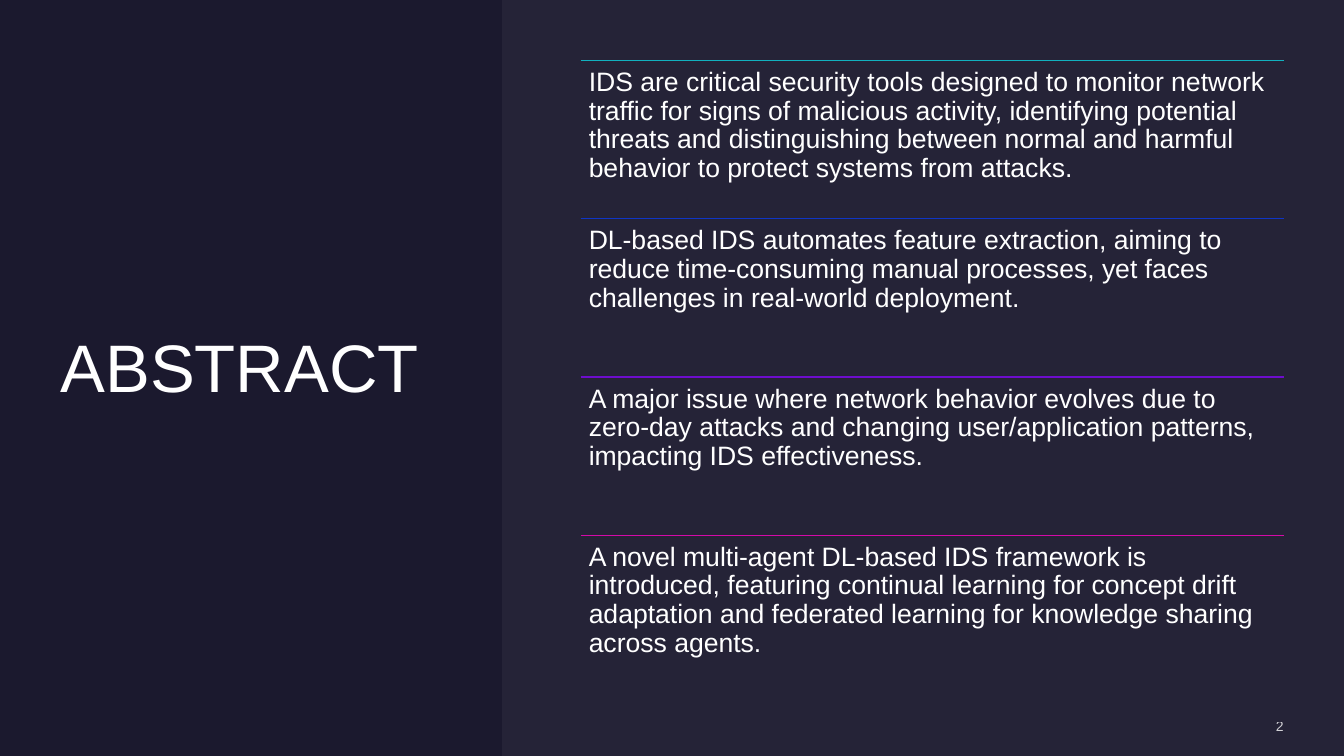
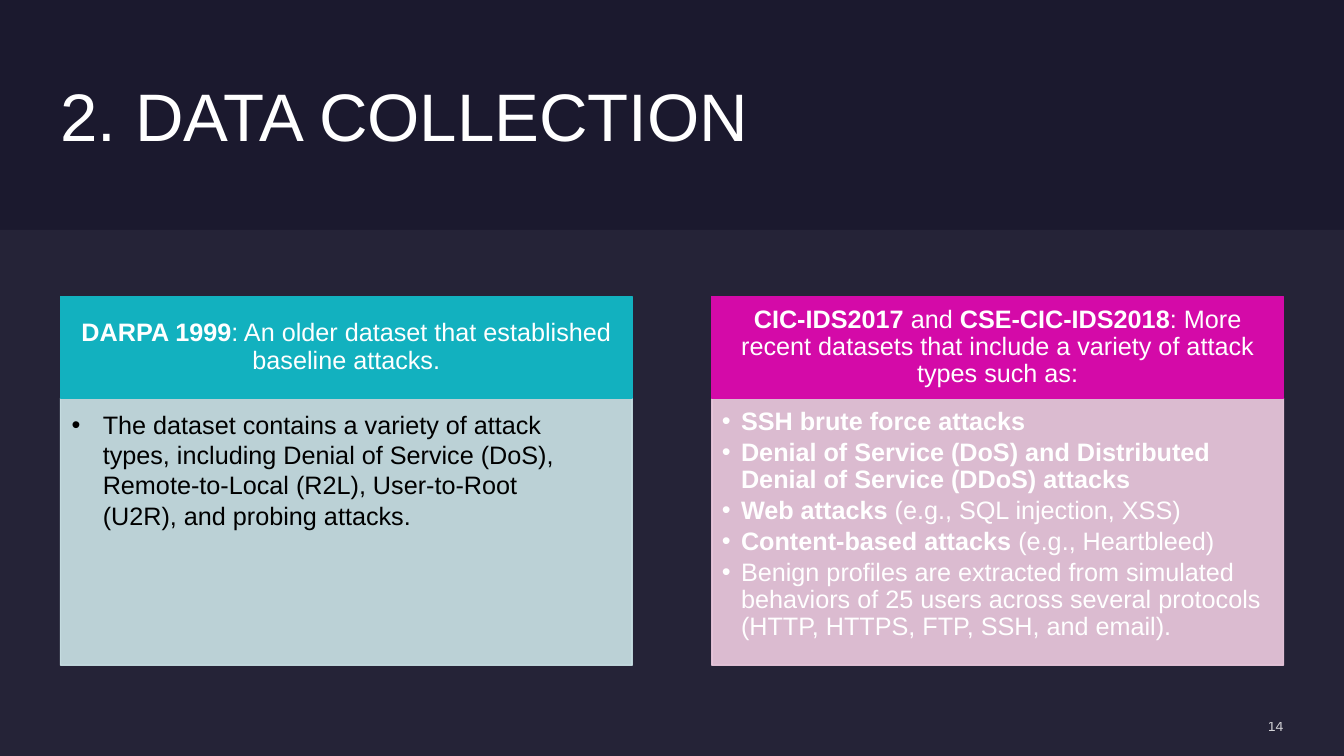
"""Build two dark slides about an intrusion detection system (IDS)."""
from lxml.etree import SubElement
from pptx import Presentation
from pptx.dml.color import RGBColor
from pptx.enum.shapes import MSO_CONNECTOR as Connector, MSO_SHAPE as Shape
from pptx.enum.text import MSO_ANCHOR as Anchor, MSO_AUTO_SIZE as AutoSize, PP_ALIGN as Align
from pptx.oxml.ns import qn
from pptx.util import Emu, Pt

EMU_PER_PX = 9144
SLIDE_WIDTH, SLIDE_HEIGHT = 1333, 750
MARGIN = 60
CONTENT_RIGHT = 1273
FONT = "Arial"
COLORS = {
    "background": "1B192E",
    "band": "E4E3F0",
    "white": "FFFFFF",
    "black": "000000",
    "teal": "12B1BF",
    "blue": "0F35C6",
    "purple": "6E0DCD",
    "magenta": "D40AA8",
    "pale_teal": "CCE4E8",
    "pale_magenta": "EFCCE1",
}

ABSTRACT_POINTS = [
    ("teal", "IDS are critical security tools designed to monitor network traffic for signs of "
             "malicious activity, identifying potential threats and distinguishing between normal "
             "and harmful behavior to protect systems from attacks."),
    ("blue", "DL-based IDS automates feature extraction, aiming to reduce time-consuming manual "
             "processes, yet faces challenges in real-world deployment."),
    ("purple", "A major issue where network behavior evolves due to zero-day attacks and changing "
               "user/application patterns, impacting IDS effectiveness."),
    ("magenta", "A novel multi-agent DL-based IDS framework is introduced, featuring continual "
                "learning for concept drift adaptation and federated learning for knowledge "
                "sharing across agents."),
]

DARPA_HEADING = [("DARPA 1999", True),
                 (": An older dataset that established baseline attacks.", False)]
DARPA_ITEMS = [
    [("The dataset contains a variety of attack types, including Denial of Service (DoS), "
      "Remote-to-Local (R2L), User-to-Root (U2R), and probing attacks.", False)],
]
CIC_HEADING = [
    ("CIC-IDS2017", True), (" and ", False), ("CSE-CIC-IDS2018", True),
    (": More recent datasets that include a variety of attack types such as:", False),
]
CIC_ITEMS = [
    [("SSH brute force attacks", True)],
    [("Denial of Service (DoS) and Distributed Denial of Service (DDoS) attacks", True)],
    [("Web attacks", True), (" (e.g., SQL injection, XSS)", False)],
    [("Content-based attacks", True), (" (e.g., Heartbleed)", False)],
    [("Benign profiles are extracted from simulated behaviors of 25 users across several "
      "protocols (HTTP, HTTPS, FTP, SSH, and email).", False)],
]


def px(*lengths):
    """Turn px lengths into EMU."""
    return [Emu(length * EMU_PER_PX) for length in lengths]


def color(name):
    """Look up a named colour."""
    return RGBColor.from_string(COLORS[name])


def set_alpha(shape, percent):
    """Make every colour of a shape partly transparent."""
    for node in shape._element.iter(qn("a:srgbClr")):
        SubElement(node, qn("a:alpha")).set("val", str(percent * 1000))


def place(shape, box):
    """Move and size a shape."""
    shape.left, shape.top, shape.width, shape.height = px(*box)


def paint(shape, fill, outlined=True):
    """Fill a shape and give it a matching outline or none."""
    shape.fill.solid()
    shape.fill.fore_color.rgb = color(fill)
    if outlined:
        shape.line.color.rgb = color(fill)
        shape.line.width = Pt(1)
    else:
        shape.line.fill.background()


def set_frame(shape, insets=(0, 0, 0, 0), anchor=Anchor.TOP):
    """Set wrapping, insets and anchor, and return the text frame."""
    frame = shape.text_frame
    frame.word_wrap = True
    frame.auto_size = AutoSize.NONE
    frame.vertical_anchor = anchor
    (frame.margin_left, frame.margin_top,
     frame.margin_right, frame.margin_bottom) = px(*insets)
    return frame


def write(paragraph, runs, size, font_color="white", align=Align.LEFT, spacing=0.9):
    """Write (text, bold) runs into a paragraph."""
    for text, bold in runs:
        run = paragraph.add_run()
        run.text = text
        run.font.bold = bold
        run.font.name = FONT
        run.font.size = Pt(size)
        run.font.color.rgb = color(font_color)
    paragraph.alignment = align
    paragraph.line_spacing = spacing
    paragraph.space_before = Pt(0)


def add_rectangle(slide, box, fill, outlined=True):
    """Add a flat rectangle."""
    shape = slide.shapes.add_shape(Shape.RECTANGLE, *px(*box))
    shape.shadow.inherit = False
    paint(shape, fill, outlined)
    return shape


def add_slide(presentation, layout, title, title_box, band_box, number):
    """Add a slide with its title, lighter band and slide number."""
    slide = presentation.slides.add_slide(presentation.slide_layouts.get_by_name(layout))
    band = add_rectangle(slide, band_box, "band", outlined=False)
    set_alpha(band, 5)
    slide.shapes._spTree.insert(2, band._element)

    place(slide.shapes.title, title_box)
    frame = set_frame(slide.shapes.title, anchor=Anchor.MIDDLE)
    write(frame.paragraphs[0], [(title, False)], 48, spacing=1.0)

    number_box = slide.shapes.add_textbox(*px(CONTENT_RIGHT - 185, 712, 185, 17))
    frame = set_frame(number_box, anchor=Anchor.MIDDLE)
    write(frame.paragraphs[0], [(str(number), False)], 10, align=Align.RIGHT, spacing=1.0)
    set_alpha(number_box, 80)
    return slide


def add_ruled_text(slide, box, rule, text):
    """Add a paragraph below a coloured rule."""
    left, top, width, _ = box
    line = slide.shapes.add_connector(Connector.STRAIGHT, *px(left, top, left + width, top))
    line.line.color.rgb = color(rule)
    line.line.width = Pt(1)
    SubElement(line._element.spPr, qn("a:effectLst"))
    frame = set_frame(slide.shapes.add_textbox(*px(*box)), (8, 8, 8, 8))
    write(frame.paragraphs[0], [(text, False)], 19)


def add_heading(slide, box, fill, runs):
    """Add a coloured heading block."""
    shape = add_rectangle(slide, box, fill)
    frame = set_frame(shape, (14, 8, 14, 8), Anchor.MIDDLE)
    write(frame.paragraphs[0], runs, 18, align=Align.CENTER)


def fill_list(placeholder, box, fill, items, insets, indent, font_color, spacing):
    """Turn a body placeholder into a tinted panel with a bullet list."""
    place(placeholder, box)
    paint(placeholder, fill)
    set_alpha(placeholder, 90)
    frame = set_frame(placeholder, insets)
    for index, runs in enumerate(items):
        paragraph = frame.add_paragraph() if index else frame.paragraphs[0]
        write(paragraph, runs, 18, font_color, spacing=spacing)
        paragraph.space_after = Pt(2.7)
        properties = paragraph._p.get_or_add_pPr()
        properties.set("marL", str(indent * EMU_PER_PX))
        properties.set("indent", str(-indent * EMU_PER_PX))


def build_abstract(presentation):
    """Build the abstract slide."""
    slide = add_slide(presentation, "Title Only", "ABSTRACT", (MARGIN, MARGIN, 390, 606),
                      (498, 0, SLIDE_WIDTH - 498, SLIDE_HEIGHT), 2)
    left, pitch = 576, 157
    for index, (rule, text) in enumerate(ABSTRACT_POINTS):
        box = (left, MARGIN + index * pitch, CONTENT_RIGHT - left, pitch)
        add_ruled_text(slide, box, rule, text)


def build_data_collection(presentation):
    """Build the slide that compares the datasets."""
    slide = add_slide(presentation, "Two Content", "2. DATA COLLECTION",
                      (MARGIN, MARGIN, 799, 108),
                      (0, 228, SLIDE_WIDTH, SLIDE_HEIGHT - 228), 14)
    width = 567
    columns = [
        (MARGIN, "teal", DARPA_HEADING, "pale_teal", DARPA_ITEMS,
         (11, 11, 70, 5), 31, "black", 1.0),
        (CONTENT_RIGHT - width, "magenta", CIC_HEADING, "pale_magenta", CIC_ITEMS,
         (10, 10, 14, 16), 19, "white", 0.9),
    ]
    bodies = list(slide.placeholders)[1:]
    for body, (left, accent, heading, tint, items, *list_style) in zip(bodies, columns):
        fill_list(body, (left, 395, width, 265), tint, items, *list_style)
        add_heading(slide, (left, 294, width, 101), accent, heading)


def main():
    """Build and save the presentation."""
    presentation = Presentation()
    presentation.slide_width, presentation.slide_height = px(SLIDE_WIDTH, SLIDE_HEIGHT)
    background = presentation.slide_master.background.fill
    background.solid()
    background.fore_color.rgb = color("background")
    build_abstract(presentation)
    build_data_collection(presentation)
    presentation.save("out.pptx")


if __name__ == "__main__":
    main()
